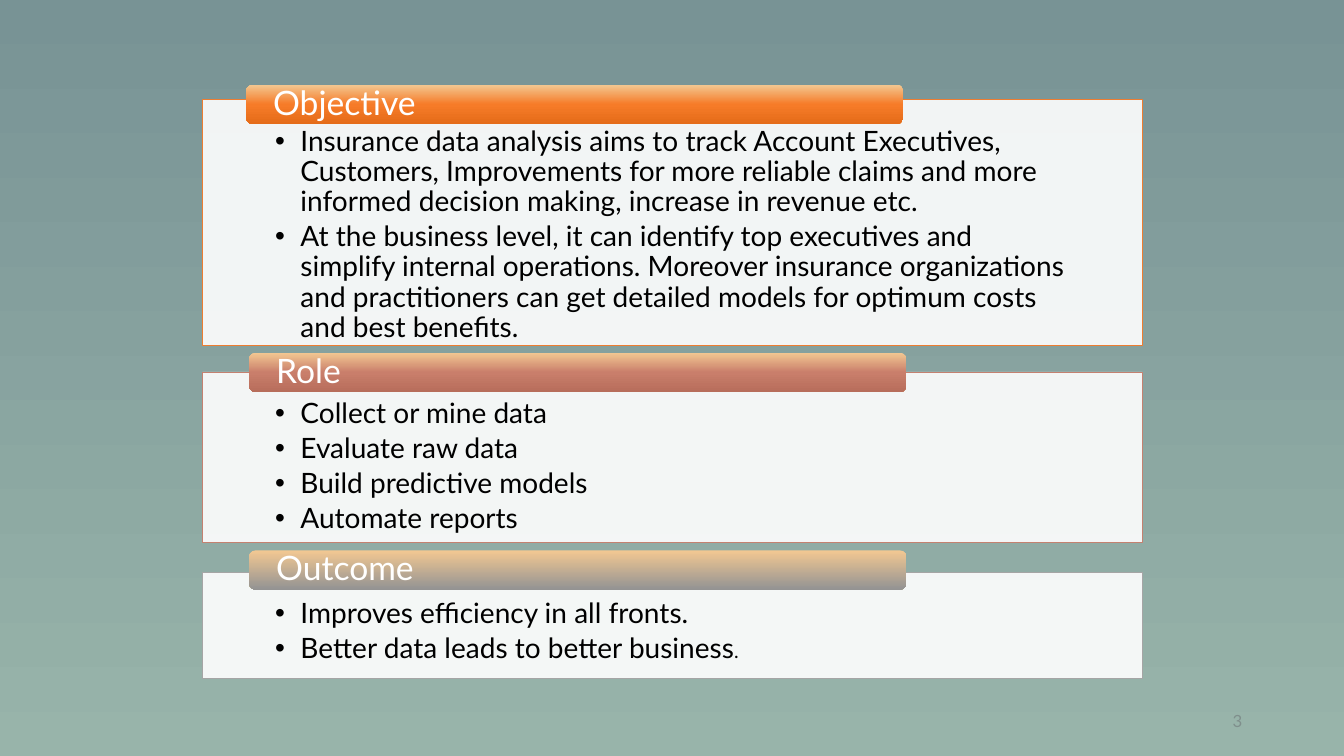
from lxml import etree
from pptx import Presentation, util as u
from pptx.dml.color import RGBColor
from pptx.enum import shapes, text
from pptx.oxml.ns import qn

HUES = dict(white="FFFFFF", black="000000", grey="7F8F8C", top="789395",
            base="98B4AA", sand="F3C892")
FONT = "Lato"
PANELS = [
    dict(title="Objective", top=0.99, high=2.44, tab=(2.44, 0.84),
         edge="ED7D31", fade=["F67B28", "E56C19"],
         items=["Insurance data analysis aims to track Account Executives, "
                "Customers, Improvements for more reliable claims and more "
                "informed decision making, increase in revenue etc.",
                "At the business level, it can identify top executives and "
                "simplify internal operations. Moreover insurance organizations "
                "and practitioners can get detailed models for optimum costs "
                "and best benefits."]),
    dict(title="Role", top=3.69, high=1.69, tab=(2.47, 3.5),
         edge="C48170", fade=["C97E6B", "B76D5B"],
         items=["Collect or mine data", "Evaluate raw data",
                "Build predictive models", "Automate reports"]),
    dict(title="Outcome", top=5.68, high=1.05, tab=(2.47, 5.46),
         edge="A5A5A5", fade=["939393"],
         items=["Improves efficiency in all fronts.",
                "Better data leads to better business"], stop="."),
]
LEFT, WIDE = 2.01, 9.32
TAB = (6.52, 0.39)


def rgb(hue):
    """Turn a hex string into a colour."""
    return RGBColor.from_string(hue)


def put(thing, **vals):
    """Set attributes from format values."""
    for key, val in vals.items():
        setattr(thing, key, val)


def sub(node, tag, **vals):
    """Add a child element with attributes."""
    return etree.SubElement(node, qn(tag), vals)


def shade(fill, root, hues):
    """Fill from top to bottom with evenly spaced hues."""
    fill.gradient()
    fill.gradient_angle = 270
    stops = root.xpath(".//a:gsLst")[0]
    for old in list(stops):
        stops.remove(old)
    for i, hue in enumerate(hues):
        stop = sub(stops, "a:gs", pos=str(100000 * i // (len(hues) - 1)))
        sub(stop, "a:srgbClr", val=hue)


def box(kind, *area):
    """Add a shape without a shadow."""
    shape = page.shapes.add_shape(kind, *map(u.Inches, area))
    shape.shadow.inherit = False
    return shape


def frame(shape, anchor, pads):
    """Set up the text area of a shape."""
    sides = ("margin_left", "margin_top", "margin_right", "margin_bottom")
    put(shape.text_frame, word_wrap=True, vertical_anchor=anchor,
        **dict(zip(sides, map(u.Inches, pads))))
    return shape.text_frame


def write(para, words, size, hue):
    """Add a run of styled text."""
    run = para.add_run()
    put(run, text=words)
    put(run.font, name=FONT, size=u.Pt(size))
    run.font.color.rgb = rgb(hue)


def bullet(para):
    """Give a paragraph a hanging round bullet."""
    props = para._p.get_or_add_pPr()
    step = u.Inches(0.25)
    props.set("marL", str(step))
    props.set("indent", str(-step))
    sub(props, "a:buFont", typeface="Arial")
    sub(props, "a:buChar", char="•")


def panel(data):
    """Draw one panel with its bullets and title tab."""
    card = box(shapes.MSO_SHAPE.RECTANGLE, LEFT, data["top"], WIDE, data["high"])
    card.fill.solid()
    card.fill.fore_color.rgb = rgb(HUES["white"])
    sub(card._element.xpath(".//p:spPr/a:solidFill/a:srgbClr")[0],
        "a:alpha", val="90000")
    card.line.color.rgb = rgb(data["edge"])
    card.line.width = u.Pt(0.5)
    body = frame(card, text.MSO_ANCHOR.TOP, (0.72, 0.27, 0.72, 0.16))
    for i, item in enumerate(data["items"]):
        para = body.add_paragraph() if i else body.paragraphs[0]
        put(para, alignment=text.PP_ALIGN.LEFT, line_spacing=0.9,
            space_after=u.Pt(3.4))
        bullet(para)
        write(para, item, 20, HUES["black"])
    if "stop" in data:
        write(para, data["stop"], 14, HUES["black"])

    tab = box(shapes.MSO_SHAPE.ROUNDED_RECTANGLE, *data["tab"], *TAB)
    shade(tab.fill, tab._element, [HUES["sand"], *data["fade"]])
    tab.line.fill.background()
    head = frame(tab, text.MSO_ANCHOR.MIDDLE, (0.25, 0, 0.25, 0)).paragraphs[0]
    put(head, alignment=text.PP_ALIGN.LEFT, line_spacing=0.9)
    write(head, data["title"], 24, HUES["white"])


deck = Presentation()
put(deck, slide_width=u.Inches(13.33), slide_height=u.Inches(7.5))
page = deck.slides.add_slide(deck.slide_layouts[6])
shade(page.background.fill, page._element, [HUES["top"], HUES["base"]])
for data in PANELS:
    panel(data)

note = page.shapes.add_textbox(*map(u.Inches, (9.42, 6.95, 3, 0.4)))
foot = frame(note, text.MSO_ANCHOR.MIDDLE, (0.1, 0.05, 0.1, 0.05)).paragraphs[0]
foot.alignment = text.PP_ALIGN.RIGHT
write(foot, "3", 12, HUES["grey"])
deck.save("out.pptx")
